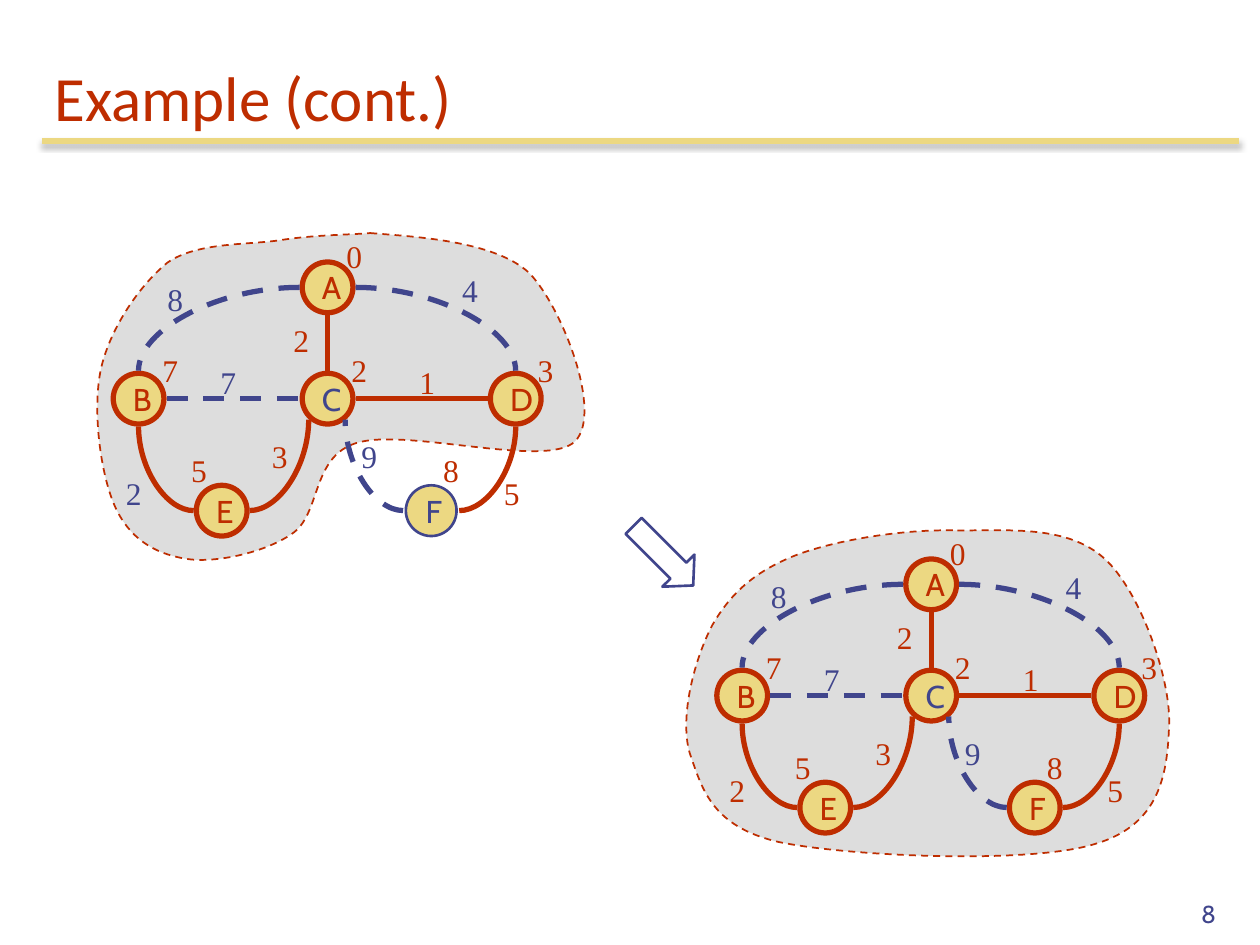
from lxml import etree
from pptx import Presentation
from pptx.dml.color import RGBColor
from pptx.enum import dml, shapes, text
from pptx.oxml import ns
from pptx.util import Pt

RED, BLUE, GOLD, GREY = "BE2D00", "40458C", "ECD882", "DDDDDD"
NODE_SIZE = 29
LABEL_SIZE = (23.8, 28.8)

# Node centres, measured from the corner of the graph
NODES = {"C": (122.4, 96), "B": (14.4, 96), "A": (122.4, 32.4),
         "E": (61.9, 160), "D": (229.9, 96), "F": (181.6, 160)}

# Places on a node where an edge may end, measured from its centre
PORTS = {"left": (-16, 0), "right": (16, 0), "top": (0, -16), "bottom": (0, 16),
         "lower left": (-10.8, 12), "lower right": (10.1, 12)}

# Curved edges leave the first node sideways and reach the second upright
EDGES = [
    ("A", "left", "B", "top", BLUE, True),
    ("E", "left", "B", "bottom", RED, True),
    ("E", "right", "C", "lower left", RED, True),
    ("A", "bottom", "C", "top", RED, False),
    ("B", "right", "C", "left", BLUE, False),
    ("F", "right", "D", "bottom", RED, True),
    ("A", "right", "D", "top", BLUE, True),
    ("C", "right", "D", "left", RED, False),
    ("F", "left", "C", "lower right", BLUE, True),
]

DISTANCES = [("0", 126, 0), ("3", 235.4, 65.5), ("2", 128.9, 65.5),
             ("7", 20.9, 65.5), ("5", 37.4, 122.4), ("8", 181.4, 122.4)]
WEIGHTS = [("4", 192.2, 19.4, BLUE), ("8", 23.8, 24.5, BLUE), ("7", 54, 72, BLUE),
           ("1", 167.8, 72, RED), ("5", 216, 135.4, RED), ("2", 95.8, 48.2, RED),
           ("3", 83.5, 114.5, RED), ("9", 134.6, 114.5, BLUE)]
OPEN_WEIGHT = ("2", 0, 135.4)

# Cloud outlines: a start, then three points for each curve
FIRST_CLOUD = [
    (159, 0), (182, 2), (230, 4), (250, 23), (269, 43), (292, 103), (276, 119),
    (260, 135), (179, 111), (151, 120), (125, 128), (131, 161), (114, 172),
    (98, 183), (69, 189), (53, 186), (35, 183), (21, 174), (13, 156),
    (5, 138), (0, 102), (5, 78), (10, 55), (27, 30), (43, 17),
    (60, 5), (89, 7), (108, 4), (127, 1), (148, 1), (159, 0)]
SECOND_CLOUD = [
    (159, 3), (189, 3), (222, 0), (243, 19), (263, 37), (281, 87), (280, 114),
    (279, 142), (275, 171), (238, 182), (200, 194), (95, 189), (57, 181),
    (18, 172), (13, 150), (6, 130), (0, 109), (9, 76), (19, 57),
    (30, 38), (44, 26), (67, 17), (91, 8), (130, 2), (159, 3)]


def color(value):
    return RGBColor.from_string(value)


def points(*values):
    return [Pt(value) for value in values]


def set_line(shape, value, width, dashed=False):
    shape.line.color.rgb = color(value)
    shape.line.width = Pt(width)
    if dashed:
        shape.line.dash_style = dml.MSO_LINE.DASH


def set_text(shape, words, size, font, value, align=text.PP_ALIGN.LEFT, **frame_format):
    frame = shape.text_frame
    for name, setting in frame_format.items():
        setattr(frame, name, setting)
    para = frame.paragraphs[0]
    para.alignment = align
    span = para.add_run()
    span.text = words
    for name, setting in {"size": Pt(size), "name": font, "bold": False}.items():
        setattr(span.font, name, setting)
    span.font.color.rgb = color(value)


def add_line(page, start, end, value, dashed=False, curved=False):
    kind = shapes.MSO_CONNECTOR.CURVE if curved else shapes.MSO_CONNECTOR.STRAIGHT
    line = page.shapes.add_connector(kind, *points(*start, *end))
    set_line(line, value, 3, dashed)
    properties = line._element.spPr
    if curved:
        properties.find(ns.qn("a:prstGeom")).set("prst", "curvedConnector2")
    return etree.SubElement(properties, ns.qn("a:effectLst"))


def add_heading(page, left, top, width, height):
    effects = add_line(page, (left, top + height + 0.6),
                       (left + width, top + height + 0.6), GOLD)
    shadow = etree.SubElement(effects, ns.qn("a:outerShdw"), blurRad=str(Pt(3.1)),
                              dist=str(Pt(1.8)), dir="5400000", rotWithShape="0")
    black = etree.SubElement(shadow, ns.qn("a:srgbClr"), val="000000")
    etree.SubElement(black, ns.qn("a:alpha"), val="35000")
    box = page.shapes.add_textbox(*points(left, top, width, height))
    set_text(box, "Example (cont.)", 36, "Calibri", RED,
             word_wrap=True, vertical_anchor=text.MSO_ANCHOR.BOTTOM)


def add_cloud(page, left, top, outline):
    """Draw a smooth dashed outline from groups of three curve points."""
    start, *rest = [points(*point) for point in outline]
    builder = page.shapes.build_freeform(*start)
    builder.add_line_segments(rest, close=True)
    cloud = builder.convert_to_shape(*points(left, top))
    steps = list(cloud._element.iter(ns.qn("a:lnTo")))
    for first in range(0, len(steps), 3):
        group = steps[first:first + 3]
        curve = etree.Element(ns.qn("a:cubicBezTo"))
        group[0].addprevious(curve)
        for step in group:
            curve.append(step[0])
            step.getparent().remove(step)
    cloud.shadow.inherit = False
    cloud.fill.solid()
    cloud.fill.fore_color.rgb = color(GREY)
    set_line(cloud, RED, 1, dashed=True)


def add_node(page, left, top, name, reached):
    x, y = NODES[name]
    node = page.shapes.add_shape(
        shapes.MSO_SHAPE.OVAL, *points(left + x - NODE_SIZE / 2, top + y - NODE_SIZE / 2,
                                       NODE_SIZE, NODE_SIZE))
    node.shadow.inherit = False
    node.fill.solid()
    node.fill.fore_color.rgb = color(GOLD)
    set_line(node, RED if reached else BLUE, 3 if reached else 1.5)
    set_text(node, name, 18, "Cabin", RED if reached and name != "C" else BLUE,
             word_wrap=False, vertical_anchor=text.MSO_ANCHOR.MIDDLE)


def add_graph(page, left, top, finished):
    """Draw nodes, edges and numbers; F is reached only when finished."""
    def port(name, side):
        return (left + NODES[name][0] + PORTS[side][0],
                top + NODES[name][1] + PORTS[side][1])

    for name in NODES:
        add_node(page, left, top, name, finished or name != "F")
    for first, first_side, second, second_side, value, curved in EDGES:
        add_line(page, port(first, first_side), port(second, second_side),
                 value, value == BLUE, curved)
    labels = [(*distance, RED) for distance in DISTANCES] + WEIGHTS
    labels.append((*OPEN_WEIGHT, RED if finished else BLUE))
    for number, x, y, value in labels:
        box = page.shapes.add_textbox(*points(left + x, top + y, *LABEL_SIZE))
        set_text(box, number, 18, "Times New Roman", value, word_wrap=False,
                 auto_size=text.MSO_AUTO_SIZE.SHAPE_TO_FIT_TEXT)


def add_step_arrow(page, left, top, width, height):
    arrow = page.shapes.add_shape(shapes.MSO_SHAPE.RIGHT_ARROW,
                                  *points(left, top, width, height))
    arrow.adjustments[0], arrow.adjustments[1] = 0.5, 0.46
    arrow.rotation = 45
    arrow.shadow.inherit = False
    arrow.fill.background()
    set_line(arrow, BLUE, 1.5)


def add_page_number(page, left, top, width, height):
    box = page.shapes.add_textbox(*points(left, top, width, height))
    set_text(box, "8", 14, "Cabin", BLUE, text.PP_ALIGN.RIGHT,
             word_wrap=True, vertical_anchor=text.MSO_ANCHOR.BOTTOM)


def main():
    deck = Presentation()
    deck.slide_width, deck.slide_height = points(720, 540)
    page = deck.slides.add_slide(deck.slide_layouts[6])
    add_heading(page, 24, 24, 684, 56)
    add_cloud(page, 52.6, 133.2, FIRST_CLOUD)
    add_graph(page, 64.8, 131.8, finished=False)
    add_cloud(page, 388.1, 300.2, SECOND_CLOUD)
    add_graph(page, 409.7, 301.5, finished=True)
    add_step_arrow(page, 355, 304.6, 48.2, 25.9)
    add_page_number(page, 552.2, 498.2, 149.8, 36)
    deck.save("out.pptx")


if __name__ == "__main__":
    main()
